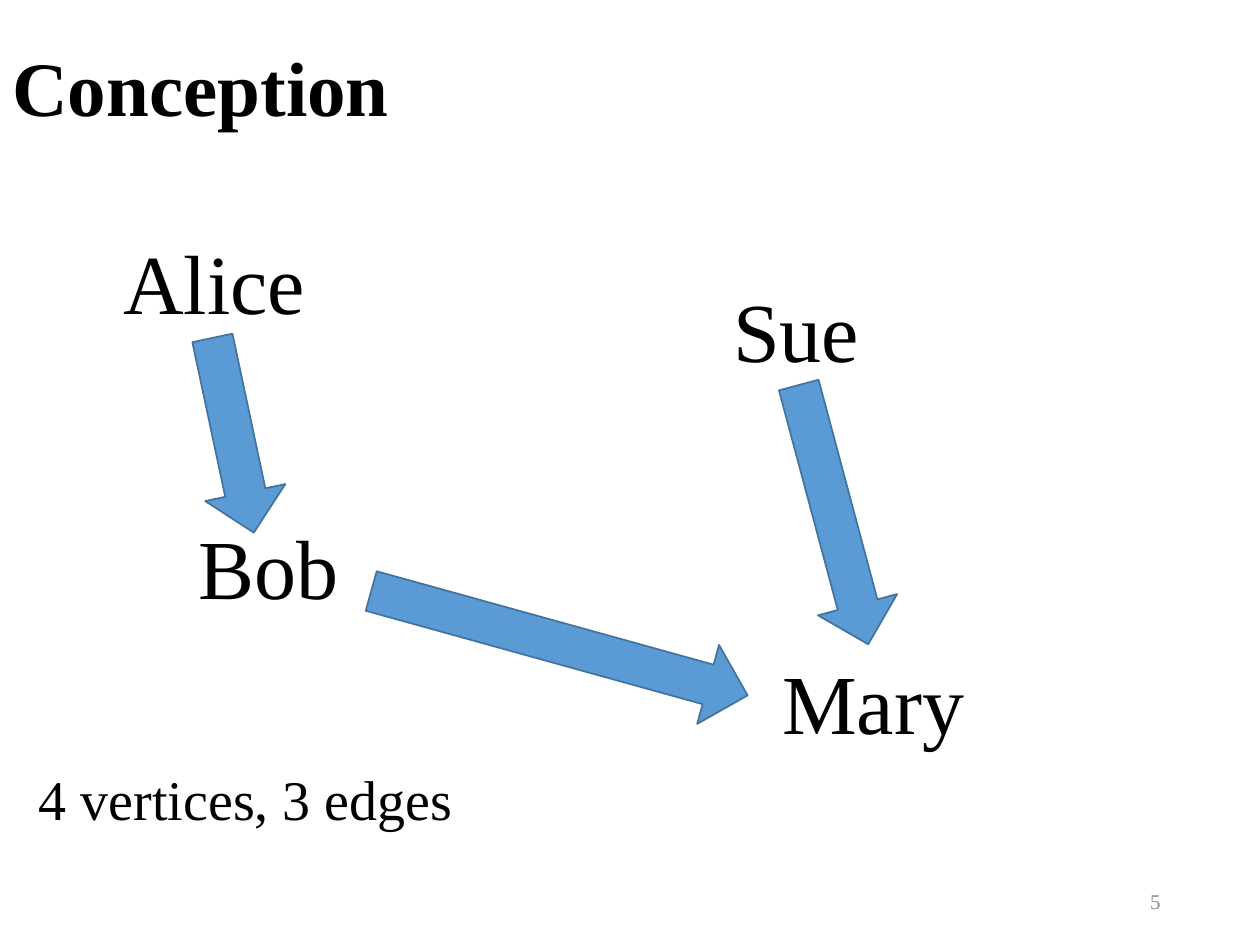
from pptx import Presentation
from pptx import util as u
from pptx.dml import color
from pptx.enum import shapes, text

COLORS = {"ink": "000000", "number": "8C8C8C", "arrow": "5B9BD5", "outline": "43739E"}
FONT = "Times New Roman"

deck = Presentation()
deck.slide_width, deck.slide_height = u.Inches(10), u.Inches(7.5)
column, row = deck.slide_width / 100, deck.slide_height / 75
page = deck.slides.add_slide(deck.slide_layouts[6])


def place(left, top, width, height):
    return int(left * column), int(top * row), int(width * column), int(height * row)


def add_label(words, area, size, ink="ink", anchor=text.MSO_ANCHOR.TOP):
    box = page.shapes.add_textbox(*place(*area))
    box.text_frame.word_wrap = True
    box.text_frame.vertical_anchor = anchor
    para = box.text_frame.paragraphs[0]
    para.text = words
    para.font.name = FONT
    para.font.size = u.Pt(size)
    para.font.color.rgb = color.RGBColor.from_string(COLORS[ink])
    return para


title = add_label("Conception", (0, 0, 100, 14.5), 44, anchor=text.MSO_ANCHOR.MIDDLE)
title.font.bold = True
title.line_spacing = 0.9

vertices = [
    ("Alice", 8.8, 17.8, 17.5),
    ("Bob", 14.8, 40.4, 15.7),
    ("Mary", 61.1, 51.1, 18.6),
    ("Sue", 57.2, 21.6, 15.7),
]
for name, left, top, width in vertices:
    add_label(name, (left, top, width, 9.1), 48)

edges = [
    (10.6, 31.3, 15.8, 78),
    (28.9, 47.8, 31, 15.5),
    (55.5, 37.6, 21.3, 75),
]
for left, top, length, angle in edges:
    arrow = page.shapes.add_shape(
        shapes.MSO_SHAPE.RIGHT_ARROW, *place(left, top, length, 6.5)
    )
    arrow.rotation = angle
    arrow.shadow.inherit = False
    arrow.fill.solid()
    arrow.fill.fore_color.rgb = color.RGBColor.from_string(COLORS["arrow"])
    arrow.line.color.rgb = color.RGBColor.from_string(COLORS["outline"])
    arrow.line.width = u.Pt(1)

add_label("4 vertices, 3 edges", (2.1, 60.2, 39.1, 6.4), 32)
number = add_label("5", (70.6, 69.5, 22.5, 4), 12, "number", text.MSO_ANCHOR.MIDDLE)
number.alignment = text.PP_ALIGN.RIGHT

deck.save("out.pptx")
